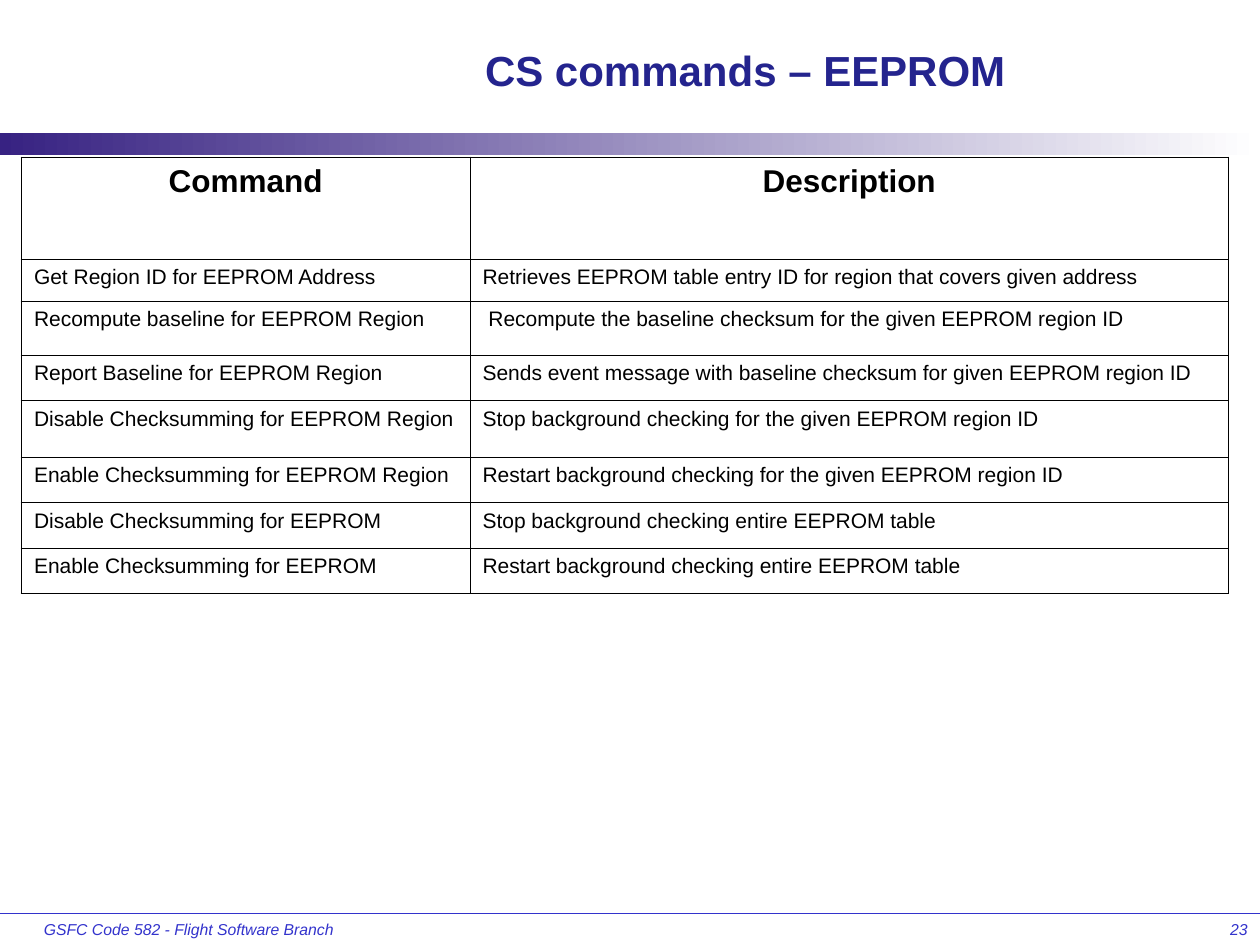
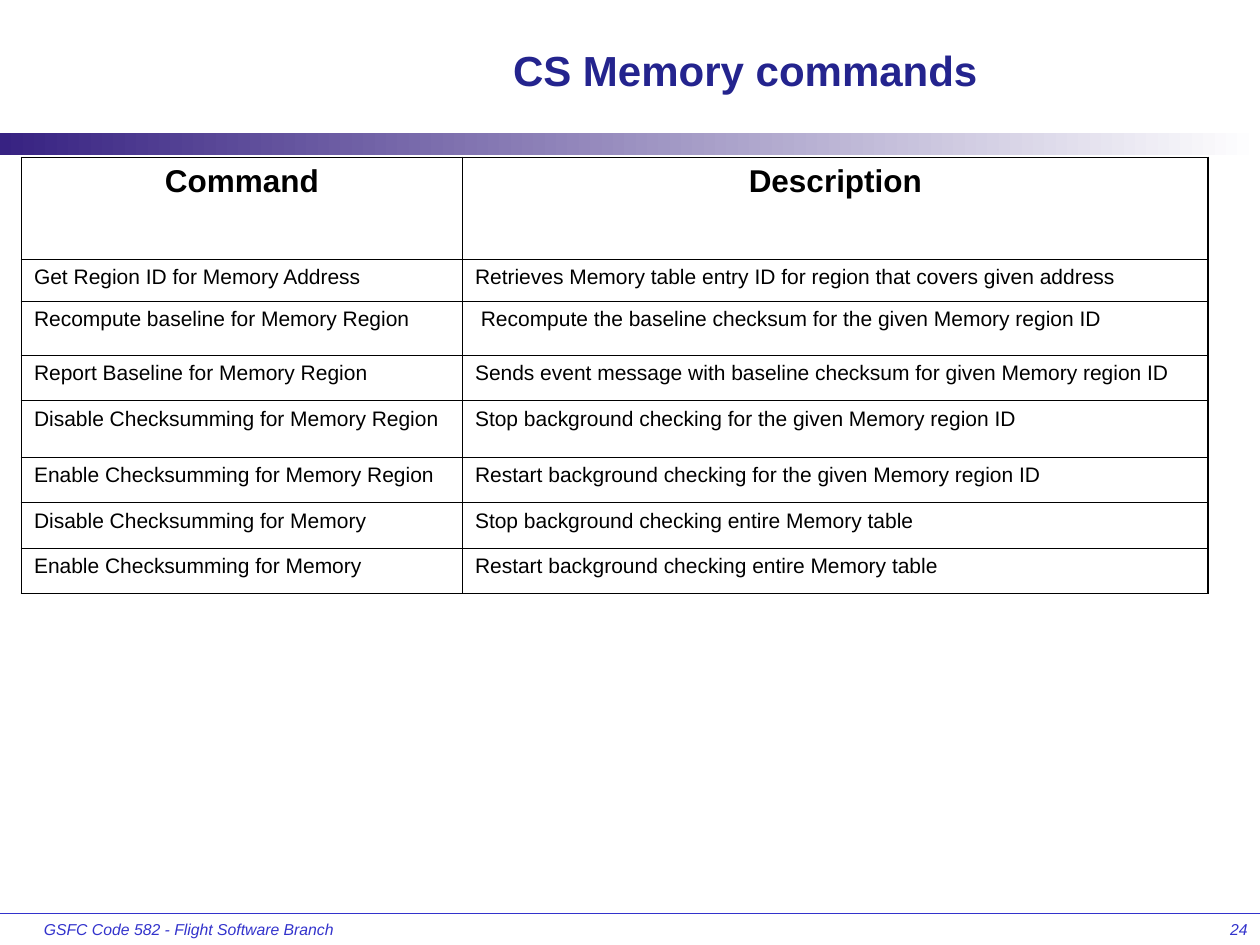
"""Build two slides that list the checksum commands for EEPROM and for memory."""
from lxml.etree import SubElement
from pptx import Presentation
from pptx.dml.color import RGBColor
from pptx.enum.shapes import MSO_CONNECTOR, MSO_SHAPE
from pptx.enum.text import MSO_ANCHOR, PP_ALIGN
from pptx.oxml.ns import qn
from pptx.util import Inches, Pt

SLIDES = [
    {"title": "CS commands – EEPROM", "kind": "EEPROM", "page": 23, "cols": (3.56, 6.02)},
    {"title": "CS Memory commands", "kind": "Memory", "page": 24, "cols": (3.5, 5.92)},
]
HEAD = ("Command", "Description")
ROWS = [
    ("Get Region ID for {} Address",
     "Retrieves {} table entry ID for region that covers given address"),
    ("Recompute baseline for {} Region",
     " Recompute the baseline checksum for the given {} region ID"),
    ("Report Baseline for {} Region",
     "Sends event message with baseline checksum for given {} region ID"),
    ("Disable Checksumming for {} Region",
     "Stop background checking for the given {} region ID"),
    ("Enable Checksumming for {} Region",
     "Restart background checking for the given {} region ID"),
    ("Disable Checksumming for {}", "Stop background checking entire {} table"),
    ("Enable Checksumming for {}", "Restart background checking entire {} table"),
]
HEIGHTS = (0.81, 0.33, 0.43, 0.36, 0.45, 0.36, 0.36, 0.36)
FOOTER = "GSFC Code 582 - Flight Software Branch"

FONT = "Arial"
NAVY, BLUE, VIOLET = "24248E", "3333CC", "372282"
BLACK, WHITE = "000000", "FFFFFF"
THIN, THICK = 0.45, 1.08
WIDE, FOOT = 10, 7.25


def rgb(code):
    """Turn a hex string into a colour."""
    return RGBColor.from_string(code)


def write(frame, text, size, color, align=PP_ALIGN.LEFT, bold=False, italic=False):
    """Write one styled paragraph into a text frame."""
    para = frame.paragraphs[0]
    para.text = text
    para.alignment = align
    font = para.font
    font.name, font.size, font.bold, font.italic = FONT, Pt(size), bold, italic
    font.color.rgb = rgb(color)


def label(slide, box, text, size, color, wrap=True, anchor=MSO_ANCHOR.TOP, **style):
    """Add a text box at box, given as left, top, width and height."""
    frame = slide.shapes.add_textbox(*map(Inches, box)).text_frame
    frame.word_wrap = wrap
    frame.vertical_anchor = anchor
    write(frame, text, size, color, **style)


def dress(slide, title, page):
    """Add the rule, band, footer, page number and title."""
    rule = slide.shapes.add_connector(
        MSO_CONNECTOR.STRAIGHT, 0, Inches(FOOT), Inches(WIDE), Inches(FOOT))
    rule.line.color.rgb = rgb(BLUE)
    rule.line.width = Pt(0.75)
    SubElement(rule._element.spPr, qn("a:effectLst"))

    band = slide.shapes.add_shape(
        MSO_SHAPE.RECTANGLE, 0, Inches(1.06), Inches(WIDE), Inches(0.17))
    band.shadow.inherit = False
    band.line.fill.background()
    band.fill.gradient()
    band.fill.gradient_angle = 0
    for stop, color in zip(band.fill.gradient_stops, (VIOLET, WHITE)):
        stop.color.rgb = rgb(color)

    label(slide, (0.25, FOOT, 2.5, 0.25), FOOTER, 9, BLUE, wrap=False, italic=True)
    label(slide, (7.92, FOOT, 2.08, 0.25), str(page), 9, BLUE,
          align=PP_ALIGN.RIGHT, italic=True)
    label(slide, (2.08, 0.17, 7.67, 0.76), title, 24, NAVY,
          anchor=MSO_ANCHOR.MIDDLE, align=PP_ALIGN.CENTER, bold=True)


def border(cell, widths):
    """Draw the left, right, top and bottom borders of a cell."""
    props = cell._tc.get_or_add_tcPr()
    for side, width in zip("LRTB", widths):
        line = SubElement(props, qn("a:ln" + side), w=str(Pt(width)))
        fill = SubElement(line, qn("a:solidFill"))
        SubElement(fill, qn("a:srgbClr"), val=BLACK)


def grid(slide, kind, cols):
    """Add the command table for one kind of store."""
    rows = [HEAD] + [[text.format(kind) for text in row] for row in ROWS]
    box = (0.17, 1.25, sum(cols), sum(HEIGHTS))
    table = slide.shapes.add_table(len(rows), len(cols), *map(Inches, box)).table
    table.first_row = table.horz_banding = False
    for col, width in zip(table.columns, cols):
        col.width = Inches(width)
    for r, (row, height) in enumerate(zip(rows, HEIGHTS)):
        table.rows[r].height = Inches(height)
        head = r == 0
        for c, text in enumerate(row):
            cell = table.cell(r, c)
            border(cell, (THIN if c else THICK, THICK if c else THIN,
                          THICK if head else THIN, THIN))
            cell.fill.background()
            write(cell.text_frame, text, 18 if head else 12, BLACK,
                  PP_ALIGN.CENTER if head else PP_ALIGN.LEFT, bold=head)


def main():
    """Build and save the slides."""
    deck = Presentation()
    deck.slide_width, deck.slide_height = Inches(WIDE), Inches(7.5)
    for item in SLIDES:
        slide = deck.slides.add_slide(deck.slide_layouts[6])
        dress(slide, item["title"], item["page"])
        grid(slide, item["kind"], item["cols"])
    deck.save("out.pptx")


if __name__ == "__main__":
    main()
